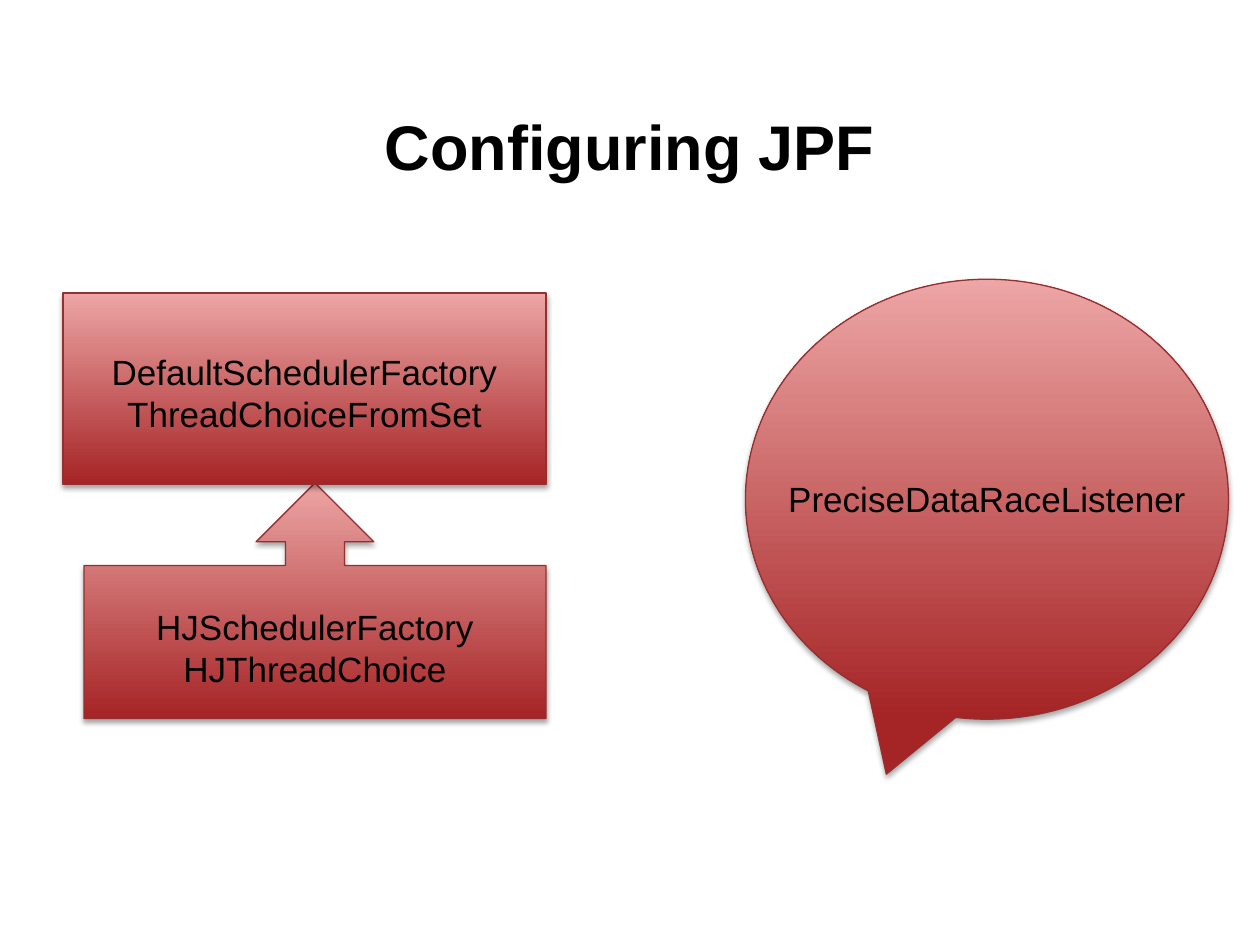
from lxml.etree import SubElement
from pptx import Presentation
from pptx.dml.color import RGBColor
from pptx.enum.shapes import MSO_SHAPE as Shape
from pptx.enum.text import MSO_ANCHOR as Anchor, PP_ALIGN as Align
from pptx.oxml.ns import qn
from pptx.util import Pt

COLORS = {"text": "000000", "dark": "A52425", "light": "EDA5A5",
          "line": "952F30", "shadow": "000000"}


def color(name):
    """Return the named palette colour."""
    return RGBColor.from_string(COLORS[name])


def add_text(page, text, left, top, width, height, size=20, bold=False,
             anchor=Anchor.TOP, margin=3.6):
    """Add a centred text box with one paragraph per line of text."""
    box = page.shapes.add_textbox(Pt(left), Pt(top), Pt(width), Pt(height))
    frame = box.text_frame
    frame.word_wrap = True
    frame.vertical_anchor = anchor
    frame.margin_top = frame.margin_bottom = Pt(margin)
    frame.text = text
    for para in frame.paragraphs:
        para.alignment = Align.CENTER
        for span in para.runs:
            span.font.name = "Arial"
            span.font.size = Pt(size)
            span.font.bold = bold
            span.font.color.rgb = color("text")
    return box


def add_shadow(shape):
    """Give a shape a soft shadow straight below it."""
    shape.shadow.inherit = False
    effects = shape._element.spPr.find(qn("a:effectLst"))
    shadow = SubElement(effects, qn("a:outerShdw"), blurRad=str(Pt(3.1)),
                        dist=str(Pt(1.8)), dir="5400000", rotWithShape="0")
    tint = SubElement(shadow, qn("a:srgbClr"), val=COLORS["shadow"])
    SubElement(tint, qn("a:alpha"), val="35000")


def add_panel(page, kind, left, top, width, height):
    """Add a preset shape with the red gradient, thin line and shadow."""
    panel = page.shapes.add_shape(kind, Pt(left), Pt(top), Pt(width), Pt(height))
    panel.fill.gradient()
    panel.fill.gradient_angle = 90
    for stop, name in zip(panel.fill.gradient_stops, ("dark", "light")):
        stop.color.rgb = color(name)
    panel.line.color.rgb = color("line")
    panel.line.width = Pt(0.75)
    add_shadow(panel)
    return panel


def main():
    """Build the slide and save it."""
    deck = Presentation()
    deck.slide_width, deck.slide_height = Pt(720), Pt(540)
    page = deck.slides.add_slide(deck.slide_layouts[6])
    add_text(page, "Configuring JPF", 36, 21.6, 648, 90, size=36, bold=True,
             anchor=Anchor.BOTTOM, margin=7.2)
    panels = [
        (Shape.UP_ARROW_CALLOUT, 48, 276, 264, 134.6,
         "HJSchedulerFactory\nHJThreadChoice", 342.7, 55.7),
        (Shape.RECTANGLE, 36, 167.5, 276, 109.5,
         "DefaultSchedulerFactory\nThreadChoiceFromSet", 196.5, 55.7),
        (Shape.OVAL_CALLOUT, 426, 159.6, 276, 251.4,
         "PreciseDataRaceListener", 269.3, 31.5),
    ]
    for kind, left, top, width, height, text, text_top, text_height in panels:
        add_panel(page, kind, left, top, width, height)
        add_text(page, text, left, text_top, width, text_height)
    deck.save("out.pptx")


if __name__ == "__main__":
    main()
